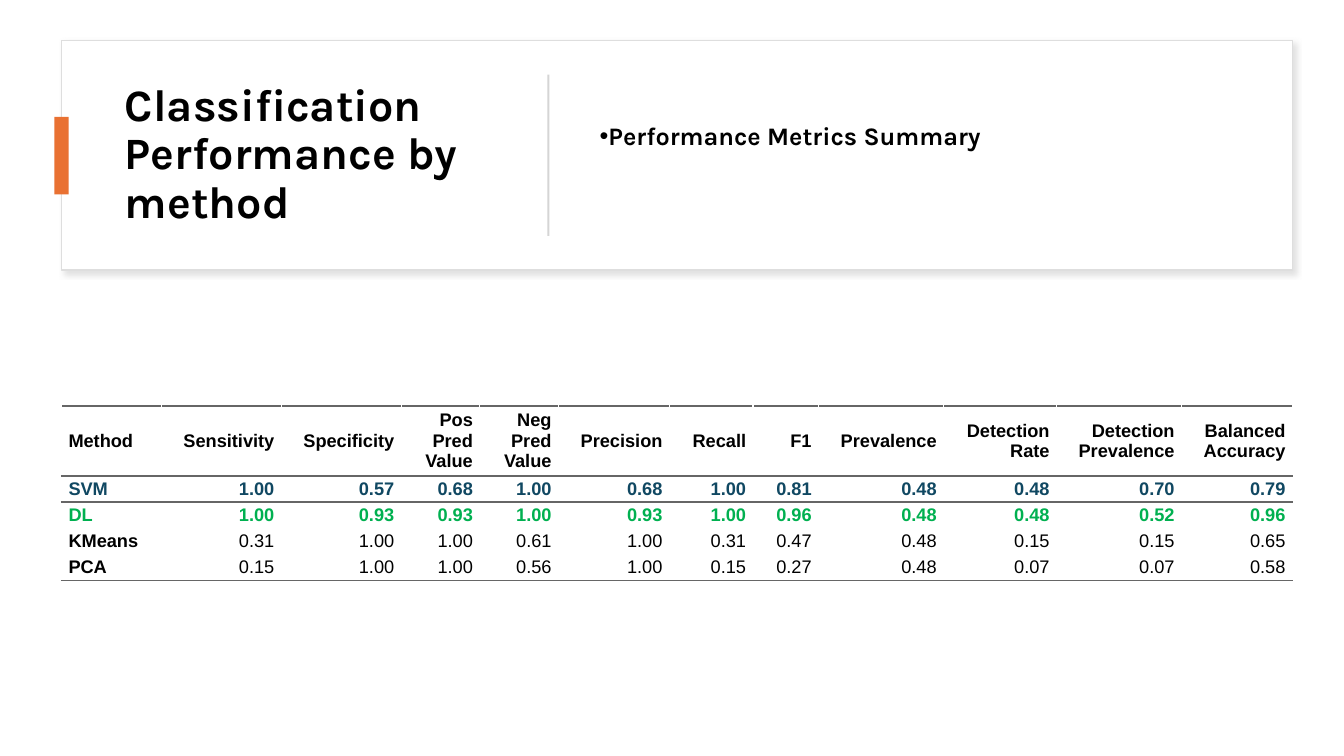
import pptx
import pptx.util
import pptx.dml.color
import pptx.enum.shapes
import pptx.enum.text
import pptx.oxml
from lxml import etree

Inches, Pt = pptx.util.Inches, pptx.util.Pt
ALIGN, ANCHOR = pptx.enum.text.PP_ALIGN, pptx.enum.text.MSO_ANCHOR
NS = 'xmlns:a="http://schemas.openxmlformats.org/drawingml/2006/main"'

TITLE = "Classification Performance by method"
POINT = "Performance Metrics Summary"
HEADS = ["Method", "Sensitivity", "Specificity", "Pos Pred Value",
         "Neg Pred Value", "Precision", "Recall", "F1", "Prevalence",
         "Detection Rate", "Detection Prevalence", "Balanced Accuracy"]
SCORES = [
    ("SVM", 1.00, 0.57, 0.68, 1.00, 0.68, 1.00, 0.81, 0.48, 0.48, 0.70, 0.79),
    ("DL", 1.00, 0.93, 0.93, 1.00, 0.93, 1.00, 0.96, 0.48, 0.48, 0.52, 0.96),
    ("KMeans", 0.31, 1.00, 1.00, 0.61, 1.00, 0.31, 0.47, 0.48, 0.15, 0.15, 0.65),
    ("PCA", 0.15, 1.00, 1.00, 0.56, 1.00, 0.15, 0.27, 0.48, 0.07, 0.07, 0.58),
]
MARKED = {"SVM": "104862", "DL": "00B050"}
WIDTHS = [0.99, 1.19, 1.19, 0.78, 0.78, 1.1, 0.83, 0.65, 1.24, 1.12, 1.24, 1.1]
HEAD_H, ROW_H = 0.69, 0.26
LEFT, WIDE = 0.61, 12.21
BLACK, WHITE, RULE = "000000", "FFFFFF", "666666"


def color(code):
    return pptx.dml.color.RGBColor.from_string(code)


def node(xml):
    return pptx.oxml.parse_xml(xml)


def style(item, form):
    for name, value in form.items():
        setattr(item, name, value)


def write(para, text, size, face, tint=BLACK, bold=True):
    run = para.add_run()
    run.text = text
    style(run.font, {"size": Pt(size), "name": face, "bold": bold})
    run.font.color.rgb = color(tint)


def box(slide, area, fill, edge=None):
    rect = pptx.enum.shapes.MSO_SHAPE.RECTANGLE
    shape = slide.shapes.add_shape(rect, *map(Inches, area))
    shape.shadow.inherit = False
    shape.fill.solid()
    shape.fill.fore_color.rgb = color(fill)
    if edge:
        shape.line.color.rgb = color(edge)
        shape.line.width = Pt(1)
    else:
        shape.line.fill.background()
    return shape


def cast(shape):
    """Give the shape a soft grey shadow to the lower right."""
    props = shape.fill._xPr
    props.remove(props.find(pptx.oxml.ns.qn("a:effectLst")))
    props.append(node(
        f'<a:effectLst {NS}><a:outerShdw blurRad="{Pt(4)}" dist="{Pt(3)}" '
        'dir="2700000" algn="tl" rotWithShape="0"><a:srgbClr val="C5C5C5">'
        '<a:alpha val="50000"/></a:srgbClr></a:outerShdw></a:effectLst>'))


def label(slide, area, text, size, form):
    frame = slide.shapes.add_textbox(*map(Inches, area)).text_frame
    style(frame, {"word_wrap": True, "vertical_anchor": ANCHOR.MIDDLE, **form})
    para = frame.paragraphs[0]
    para.line_spacing = 0.9
    write(para, text, size, "Karla")
    return para


def rule(cell, side):
    """Draw the top (T) or bottom (B) border of a cell."""
    line = node(f'<a:ln{side} {NS} w="{Pt(1.5)}"><a:solidFill>'
                f'<a:srgbClr val="{RULE}"/></a:solidFill></a:ln{side}>')
    props = cell._tc.get_or_add_tcPr()
    props.insert(len(props) - 1, line)


def grid(slide):
    rows = [HEADS] + SCORES
    high = HEAD_H + ROW_H * len(SCORES)
    area = map(Inches, (LEFT, 4.03, WIDE, high))
    table = slide.shapes.add_table(len(rows), len(HEADS), *area).table
    style(table, {"first_row": False, "horz_banding": False})
    for col, width in zip(table.columns, WIDTHS):
        col.width = Inches(width)
    pad = {"margin_left": Inches(0.07), "margin_right": Inches(0.07),
           "margin_top": 0, "margin_bottom": 0,
           "vertical_anchor": ANCHOR.MIDDLE}
    for r, row in enumerate(rows):
        table.rows[r].height = Inches(ROW_H if r else HEAD_H)
        tint = MARKED.get(row[0], BLACK)
        for c, value in enumerate(row):
            cell = table.cell(r, c)
            style(cell, pad)
            cell.fill.solid()
            cell.fill.fore_color.rgb = color(WHITE)
            if r < 2:
                rule(cell, "T")
            if r in (0, len(rows) - 1):
                rule(cell, "B")
            para = cell.text_frame.paragraphs[0]
            para.alignment = ALIGN.RIGHT if c else ALIGN.LEFT
            text = value if isinstance(value, str) else f"{value:.2f}"
            bold = r == 0 or c == 0 or row[0] in MARKED
            write(para, text, 13, "Arial", tint, bold)


def main():
    deck = pptx.Presentation()
    style(deck, {"slide_width": Inches(13.33), "slide_height": Inches(7.5)})
    slide = deck.slides.add_slide(deck.slide_layouts[6])
    cast(box(slide, (LEFT, 0.4, WIDE, 2.28), WHITE, "DEDEDE"))
    label(slide, (1.14, 0.64, 3.89, 1.8), TITLE, 32, {})
    box(slide, (0.54, 1.16, 0.14, 0.77), "E97132")
    box(slide, (5.43, 0.74, 0.02, 1.6), "D5D5D5")
    point = label(slide, (5.85, 0.64, 6.56, 1.8), POINT, 18,
                  {"margin_bottom": Inches(0.41)})
    props = point._p.get_or_add_pPr()
    style(props, {"algn": ALIGN.LEFT})
    props.set("marL", "0")
    props.set("indent", str(-Inches(0.25)))
    props.append(node(f'<a:buFont {NS} typeface="Arial"/>'))
    props.append(node(f'<a:buChar {NS} char="•"/>'))
    grid(slide)
    deck.save("out.pptx")


if __name__ == "__main__":
    main()
